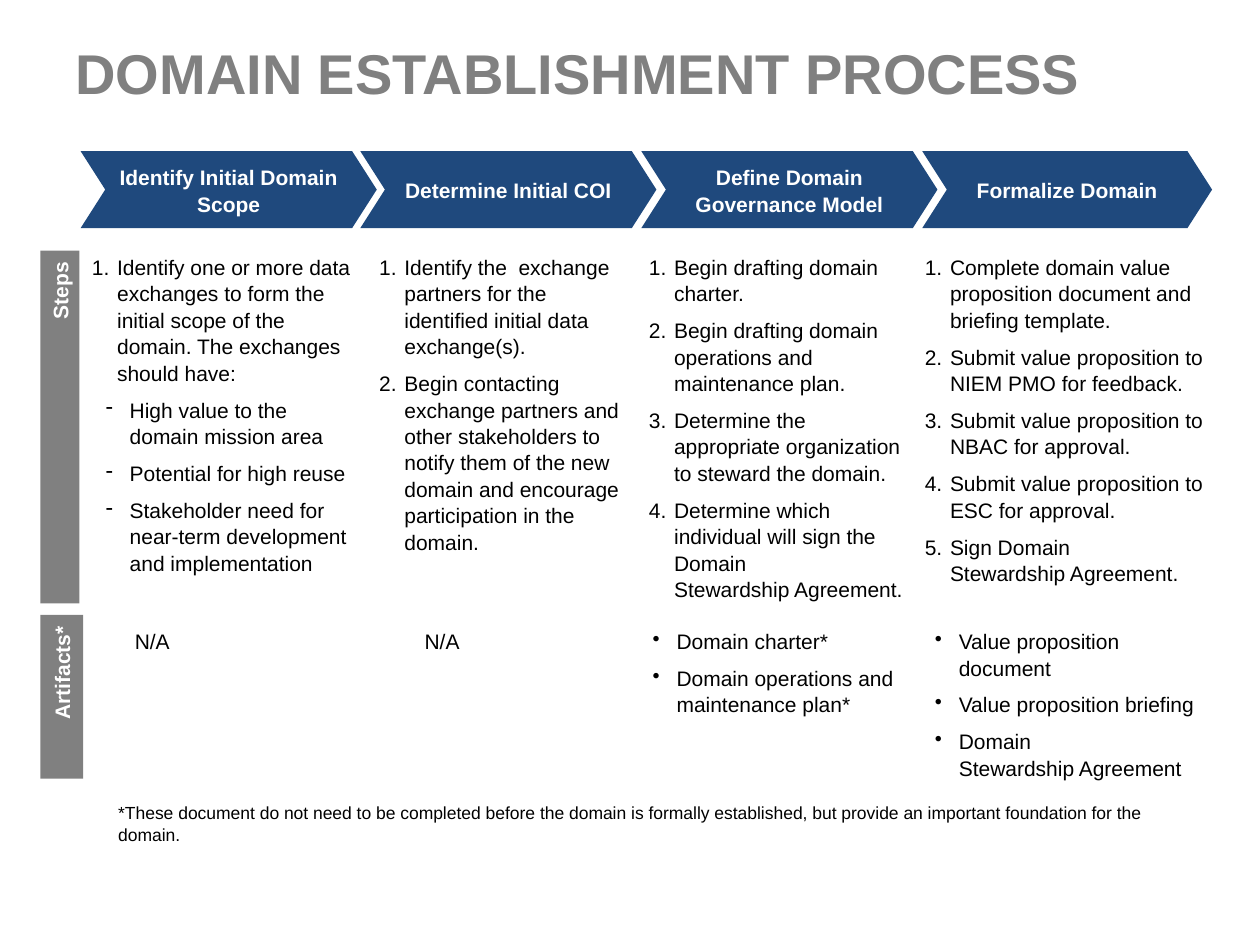
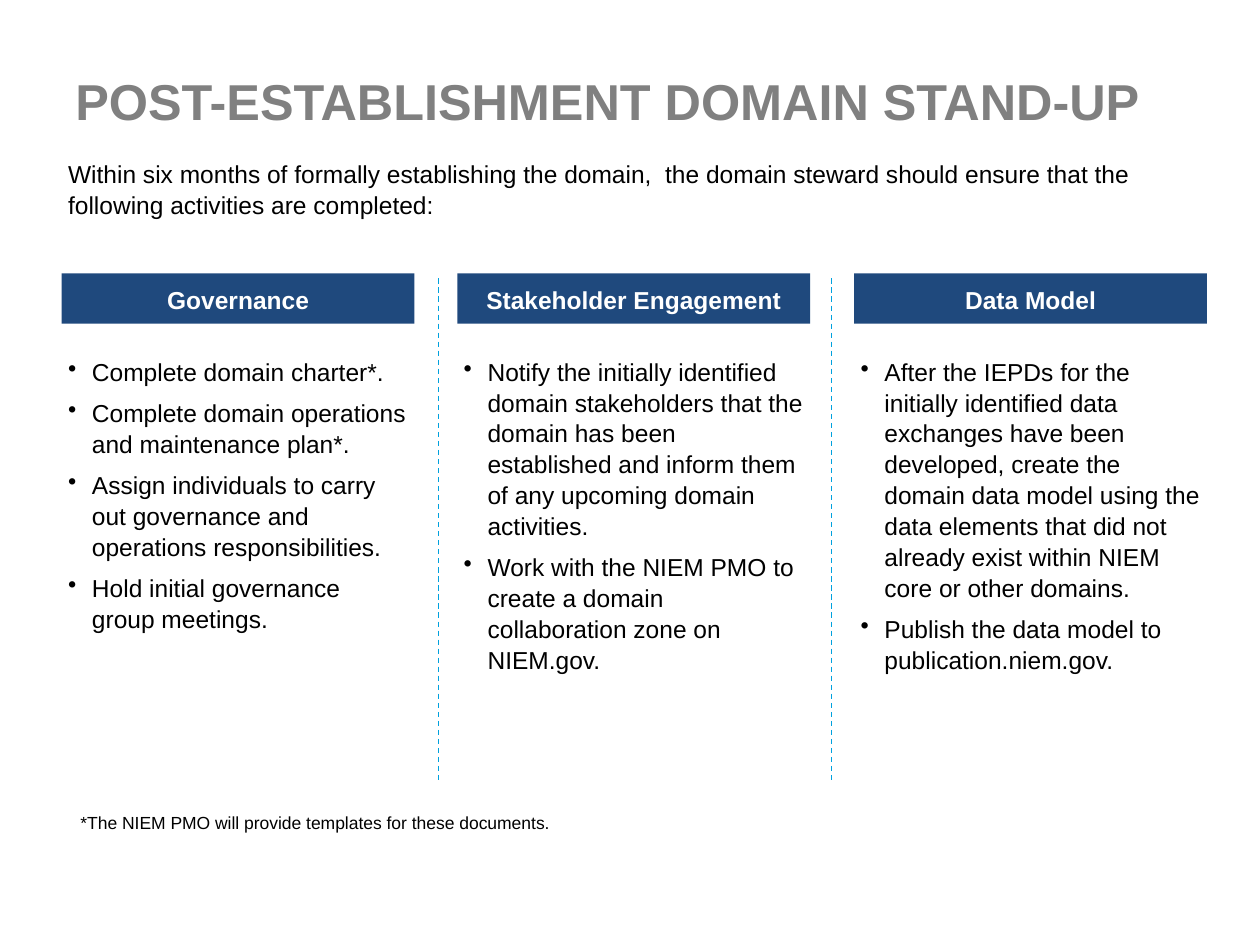
from pptx import Presentation
from pptx.dml.color import RGBColor
from pptx.enum.dml import MSO_LINE
from pptx.enum.shapes import MSO_CONNECTOR, MSO_SHAPE
from pptx.enum.text import MSO_ANCHOR, PP_ALIGN
from pptx.oxml.xmlchemy import OxmlElement
from pptx.util import Emu, Pt

PX = 9144
NAVY = RGBColor(0x1F, 0x49, 0x7D)
GRAY = RGBColor(0x80, 0x80, 0x80)
CYAN = RGBColor(0x00, 0xA1, 0xDE)
WHITE = RGBColor(0xFF, 0xFF, 0xFF)
BLACK = RGBColor(0x00, 0x00, 0x00)
FONT = "Arial"
RECT, CHEVRON = MSO_SHAPE.RECTANGLE, MSO_SHAPE.CHEVRON
LINE, DASHED = MSO_CONNECTOR.STRAIGHT, MSO_LINE.DASH
TOP, MIDDLE = MSO_ANCHOR.TOP, MSO_ANCHOR.MIDDLE
LEFT, CENTER, RIGHT = PP_ALIGN.LEFT, PP_ALIGN.CENTER, PP_ALIGN.RIGHT

MARKS = {
    "num": (0, 20, 20, "a:buAutoNum", "type", "arabicPeriod"),
    "dash": (1, 30, 19, "a:buChar", "char", "-"),
    "dot": (0, 19, 19, "a:buChar", "char", "•"),
}

PHASES = [
    ("Identify Initial Domain Scope", 235),
    ("Determine Initial COI", 235),
    ("Define Domain Governance Model", 235),
    ("Formalize Domain", 230),
]

STEPS = [
    (36, 216, [
        ("num", "Identify one or more data exchanges to form the initial scope of "
                "the domain. The exchanges should have:"),
        ("dash", "High value to the domain mission area"),
        ("dash", "Potential for high reuse"),
        ("dash", "Stakeholder need for near-term development and implementation"),
    ]),
    (264, 201, [
        ("num", "Identify the  exchange partners for the identified initial data "
                "exchange(s)."),
        ("num", "Begin contacting exchange partners and other stakeholders to notify "
                "them of the new domain and encourage participation in the domain."),
    ]),
    (478, 212, [
        ("num", "Begin drafting domain charter."),
        ("num", "Begin drafting domain operations and maintenance plan."),
        ("num", "Determine the appropriate organization to steward the domain."),
        ("num", "Determine which individual will sign the Domain \n"
                "Stewardship Agreement."),
    ]),
    (697, 236, [
        ("num", "Complete domain value proposition document and briefing template."),
        ("num", "Submit value proposition to NIEM PMO for feedback."),
        ("num", "Submit value proposition to NBAC for approval."),
        ("num", "Submit value proposition to ESC for approval."),
        ("num", "Sign Domain \nStewardship Agreement."),
    ]),
]

OUTPUTS = [
    (70, 167, [(None, "N/A")]),
    (300, 167, [(None, "N/A")]),
    (481, 210, [
        ("dot", "Domain charter*"),
        ("dot", "Domain operations and maintenance plan*"),
    ]),
    (705, 224, [
        ("dot", "Value proposition document"),
        ("dot", "Value proposition briefing"),
        ("dot", "Domain \nStewardship Agreement"),
    ]),
]

TASKS = [
    ("Governance", [
        "Complete domain charter*.",
        "Complete domain operations and maintenance plan*.",
        "Assign individuals to carry out governance and operations responsibilities.",
        "Hold initial governance group meetings.",
    ]),
    ("Stakeholder Engagement", [
        "Notify the initially identified domain stakeholders that the domain has been "
        "established and inform them of any upcoming domain activities.",
        "Work with the NIEM PMO to create a domain collaboration zone on NIEM.gov.",
    ]),
    ("Data Model", [
        "After the IEPDs for the initially identified data exchanges have been "
        "developed, create the domain data model using the data elements that did not "
        "already exist within NIEM core or other domains.",
        "Publish the data model to publication.niem.gov.",
    ]),
]


def scale(*sizes):
    """Turn px into EMU."""
    return [Emu(size * PX) for size in sizes]


def mark(para, kind):
    """Give a paragraph its bullet or number and its hanging indent."""
    level, left, hang, tag, key, value = MARKS[kind]
    para.level = level
    props = para._p.get_or_add_pPr()
    props.set("marL", str(left * PX))
    props.set("indent", str(-hang * PX))
    bullet = OxmlElement(tag)
    bullet.set(key, value)
    props.append(bullet)


def write(shape, items, size, color=BLACK, bold=False, align=LEFT, anchor=TOP,
          inset=(5, 5, 5, 5), after=6, lead=1.05):
    """Fill a shape with (kind, text) paragraphs."""
    frame = shape.text_frame
    frame.word_wrap = True
    frame.vertical_anchor = anchor
    (frame.margin_left, frame.margin_top,
     frame.margin_right, frame.margin_bottom) = scale(*inset)
    for num, (kind, text) in enumerate(items):
        para = frame.add_paragraph() if num else frame.paragraphs[0]
        para.alignment = align
        para.line_spacing = lead
        para.space_before = Pt(0)
        para.space_after = Pt(after)
        if kind:
            mark(para, kind)
        for row, part in enumerate(text.split("\n")):
            if row:
                para.add_line_break()
            run = para.add_run()
            run.text = part
            font = run.font
            font.name, font.size, font.bold = FONT, Pt(size), bold
            font.color.rgb = color


def label(slide, box, items, size, **style):
    """Add a text box."""
    write(slide.shapes.add_textbox(*scale(*box)), items, size, **style)


def block(slide, box, text, size, fill, form=RECT, **style):
    """Add a filled shape with bold white text."""
    shape = slide.shapes.add_shape(form, *scale(*box))
    shape.shadow.inherit = False
    shape.fill.solid()
    shape.fill.fore_color.rgb = fill
    shape.line.fill.background()
    style = {"align": CENTER, "anchor": MIDDLE, "after": 0} | style
    write(shape, [(None, text)], size, color=WHITE, bold=True, **style)
    return shape


def title(slide, box, text, size):
    """Add the slide title."""
    label(slide, box, [(None, text)], size, color=GRAY, bold=True,
          inset=(10, 10, 10, 5), after=0, lead=0.8)


def note(slide, box, text):
    """Add the footnote."""
    label(slide, box, [(None, text)], 10, inset=(10, 5, 10, 5))


def phases(slide, box):
    """Add the row of chevrons."""
    left, top, width, height = box
    for num, (text, wide) in enumerate(PHASES):
        spot = (left + num * width // 4, top, wide, height)
        shape = block(slide, spot, text, 12, NAVY, CHEVRON,
                      inset=(0, 5, 0, 5), lead=1.06)
        shape.adjustments[0] = 0.32


def band(slide, box, name, bar, drop, cells):
    """Add a row with an upright label and a text cell for each phase."""
    left, top, width, height = box
    tab = block(slide, (left, top, bar, height), name, 12, GRAY,
                align=RIGHT, inset=(5, 9, 5, 5), lead=1)
    tab.text_frame._txBody.bodyPr.set("vert", "vert270")
    for shift, wide, items in cells:
        label(slide, (left + shift, top + drop, wide, height - drop), items, 12)


def divide(slide, left, top, height):
    """Add an upright dashed line."""
    line = slide.shapes.add_connector(LINE, *scale(left, top, left, top + height))
    line.line.color.rgb = CYAN
    line.line.width = Pt(0.75)
    line.line.dash_style = DASHED
    line._element.spPr.append(OxmlElement("a:effectLst"))


def tasks(slide, box):
    """Add headed task lists with dividers between them."""
    left, top, width, height = box
    for num, (head, lines) in enumerate(TASKS):
        side = left + num * (width - 280) // 2
        block(slide, (side, top, 280, 40), head, 14, NAVY,
              inset=(0, 0, 0, 0), after=3)
        label(slide, (side, top + 60, 280, height - 125),
              [("dot", line) for line in lines], 14)
    for num in range(len(TASKS) - 1):
        divide(slide, left + 299 + num * 312, top + 4, height - 4)


def process(slide):
    """Build the establishment process slide."""
    title(slide, (50, 31, 900, 89), "DOMAIN ESTABLISHMENT PROCESS", 32)
    phases(slide, (64, 120, 891, 61))
    band(slide, (32, 199, 933, 280), "Steps", 31, -3, STEPS)
    band(slide, (32, 488, 929, 130), "Artifacts*", 34, 5, OUTPUTS)
    note(slide, (84, 631, 880, 44),
         "*These document do not need to be completed before the domain is formally "
         "established, but provide an important foundation for the domain.")


def standup(slide):
    """Build the stand-up slide."""
    title(slide, (50, 55, 900, 84), "POST-ESTABLISHMENT DOMAIN STAND-UP", 28.8)
    label(slide, (49, 120, 901, 70),
          [(None, "Within six months of formally establishing the domain,  the domain "
                  "steward should ensure that the following activities are completed:")],
          14)
    tasks(slide, (49, 217, 909, 404))
    note(slide, (54, 639, 880, 27),
         "*The NIEM PMO will provide templates for these documents.")


def main():
    """Build and save the deck."""
    deck = Presentation()
    deck.slide_width, deck.slide_height = scale(1000, 750)
    for build in (process, standup):
        build(deck.slides.add_slide(deck.slide_layouts[6]))
    deck.save("out.pptx")


if __name__ == "__main__":
    main()
